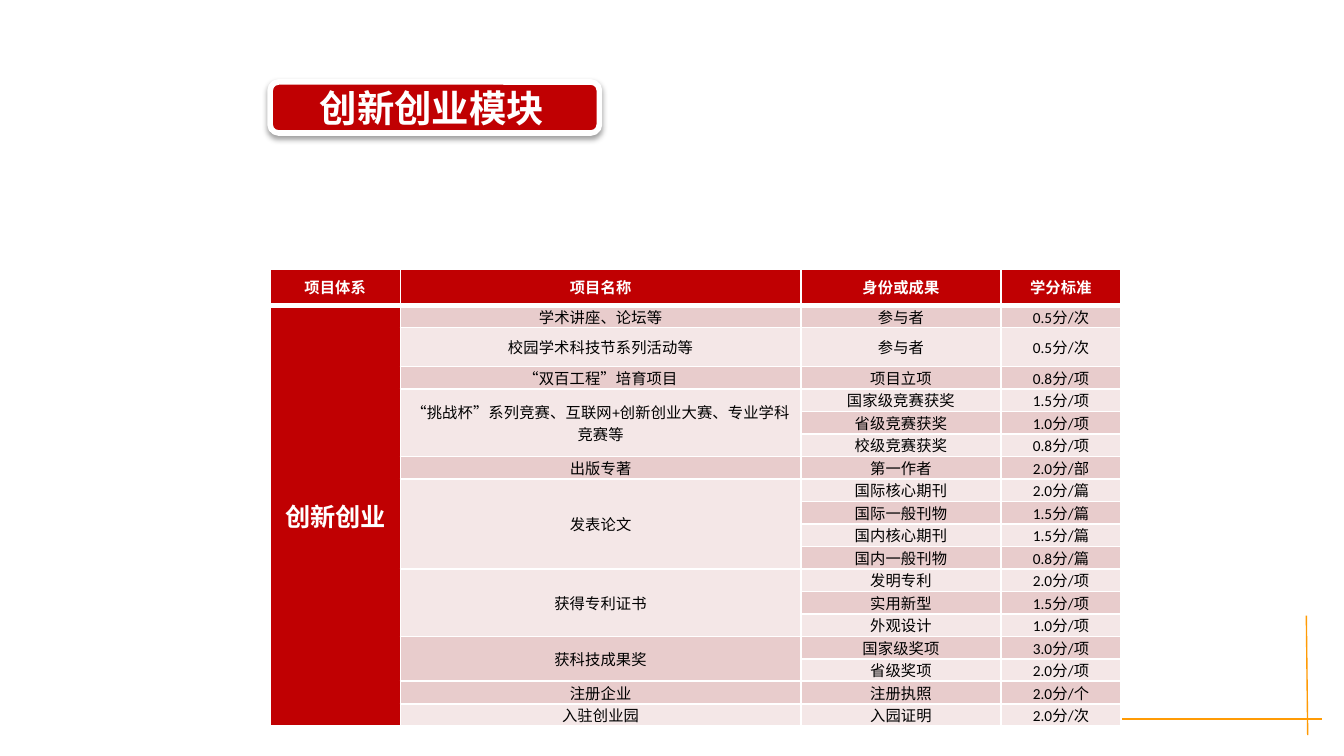
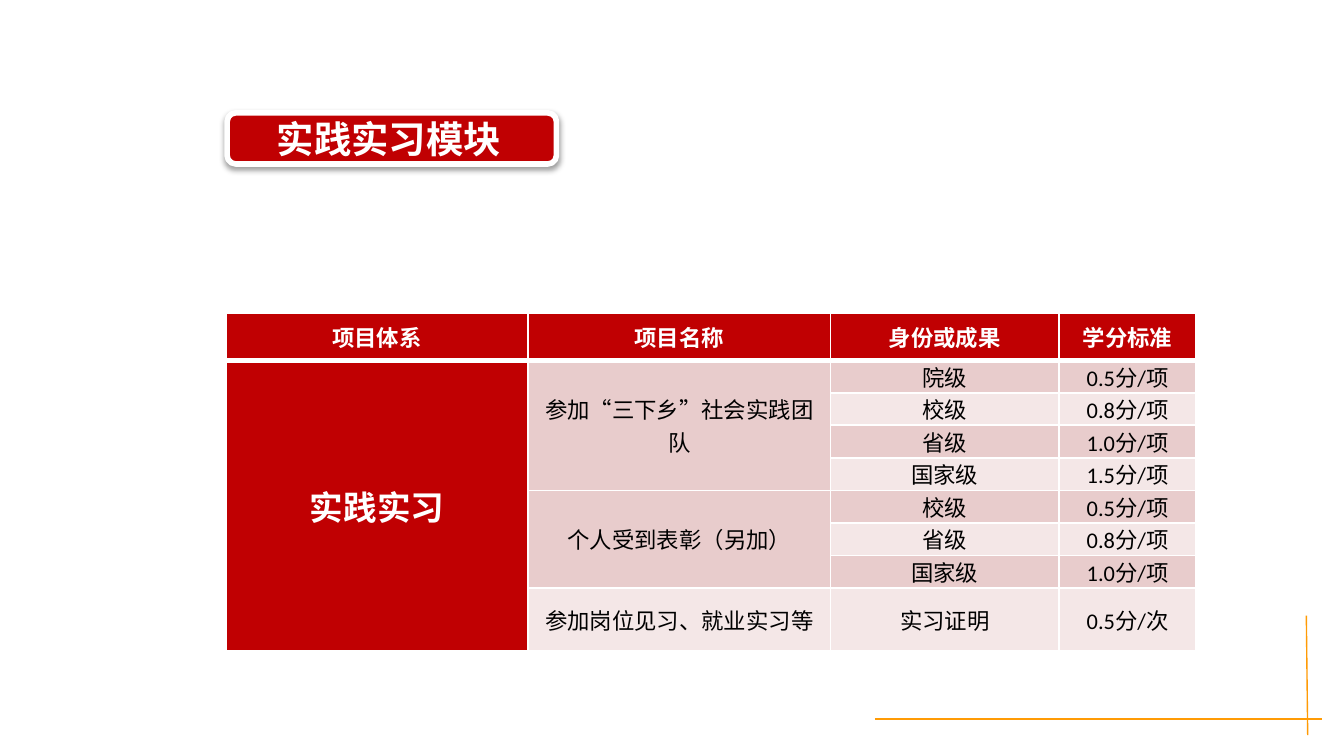
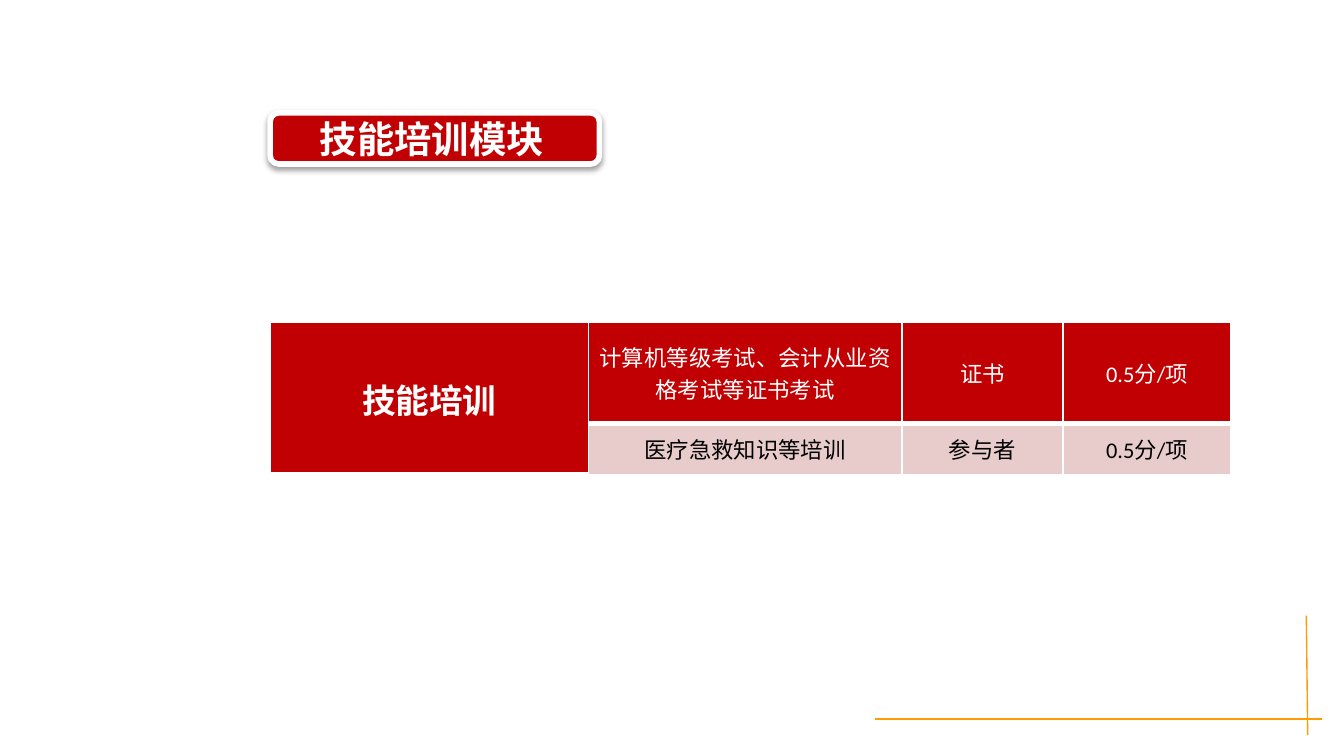
import pptx
import pptx.util
import pptx.dml.color
import pptx.enum.lang
import pptx.enum.shapes
import pptx.enum.text
import pptx.oxml

RED, WHITE, BLACK, ORANGE = "C00002", "FFFFFF", "000000", "FF9B05"
BANDS = ["F4E7E7", "E8CCCC"]
NAMESPACE = 'xmlns:a="http://schemas.openxmlformats.org/drawingml/2006/main"'
HEADINGS = ("项目体系", "项目名称", "身份或成果", "学分标准")

deck = pptx.Presentation()
deck.slide_width = pptx.util.Inches(10)
deck.slide_height = deck.slide_width * 9 // 16
unit = deck.slide_width // 1000

modules = [
    {
        "name": "创新创业", "title": (201, 61), "table": (201, 200),
        "columns": [97, 298, 149, 89], "rows": [27, 15, 29] + [15] * 16,
        "sizes": (8.25, 13.5), "inset": 5,
        "cells": [
            HEADINGS,
            ("创新创业", "学术讲座、论坛等", "参与者", "0.5分/次"),
            (None, "校园学术科技节系列活动等", "参与者", "0.5分/次"),
            (None, "“双百工程”培育项目", "项目立项", "0.8分/项"),
            (None, "“挑战杯”系列竞赛、互联网+创新创业大赛、专业学科竞赛等", "国家级竞赛获奖", "1.5分/项"),
            (None, None, "省级竞赛获奖", "1.0分/项"),
            (None, None, "校级竞赛获奖", "0.8分/项"),
            (None, "出版专著", "第一作者", "2.0分/部"),
            (None, "发表论文", "国际核心期刊", "2.0分/篇"),
            (None, None, "国际一般刊物", "1.5分/篇"),
            (None, None, "国内核心期刊", "1.5分/篇"),
            (None, None, "国内一般刊物", "0.8分/篇"),
            (None, "获得专利证书", "发明专利", "2.0分/项"),
            (None, None, "实用新型", "1.5分/项"),
            (None, None, "外观设计", "1.0分/项"),
            (None, "获科技成果奖", "国家级奖项", "3.0分/项"),
            (None, None, "省级奖项", "2.0分/项"),
            (None, "注册企业", "注册执照", "2.0分/个"),
            (None, "入驻创业园", "入园证明", "2.0分/次"),
        ],
    },
    {
        "name": "实践实习", "title": (169, 84), "table": (168, 233),
        "columns": [225, 225, 170, 102], "rows": [35] + [23] * 7 + [47],
        "sizes": (12, 18), "inset": 7,
        "cells": [
            HEADINGS,
            ("实践实习", "参加“三下乡”社会实践团队", "院级", "0.5分/项"),
            (None, None, "校级", "0.8分/项"),
            (None, None, "省级", "1.0分/项"),
            (None, None, "国家级", "1.5分/项"),
            (None, "个人受到表彰（另加）", "校级", "0.5分/项"),
            (None, None, "省级", "0.8分/项"),
            (None, None, "国家级", "1.0分/项"),
            (None, "参加岗位见习、就业实习等", "实习证明", "0.5分/次"),
        ],
    },
    {
        "name": "技能培训", "title": (201, 84), "table": (201, 240),
        "columns": [237, 233, 120, 125], "rows": [75, 38],
        "sizes": (12, 18), "inset": 8,
        "cells": [
            ("技能培训", "计算机等级考试、会计从业资格考试等证书考试", "证书", "0.5分/项"),
            (None, "医疗急救知识等培训", "参与者", "0.5分/项"),
        ],
    },
]


def colour(code):
    return pptx.dml.color.RGBColor.from_string(code)


def write(frame, text, size, code, bold, align):
    para = frame.paragraphs[0]
    para.alignment = align
    span = para.add_run()
    span.text = text
    span.font.color.rgb = colour(code)
    formats = {"name": "Calibri", "size": pptx.util.Pt(size), "bold": bold,
               "language_id": pptx.enum.lang.MSO_LANGUAGE_ID.SIMPLIFIED_CHINESE}
    for key, value in formats.items():
        setattr(span.font, key, value)


for module in modules:
    page = deck.slides.add_slide(deck.slide_layouts[6])

    for ends in [(651, 535, 984, 535), (972, 458, 973, 547)]:
        rule = page.shapes.add_connector(
            pptx.enum.shapes.MSO_CONNECTOR.STRAIGHT, *[end * unit for end in ends])
        rule.line.color.rgb = colour(ORANGE)
        rule.line.width = pptx.util.Pt(0.75)
        rule._element.spPr.append(pptx.oxml.parse_xml(f"<a:effectLst {NAMESPACE}/>"))

    left, top = module["title"]
    box = page.shapes.add_shape(
        pptx.enum.shapes.MSO_SHAPE.ROUNDED_RECTANGLE,
        left * unit, top * unit, 245 * unit, 38 * unit)
    box.fill.solid()
    box.fill.fore_color.rgb = colour(RED)
    box.line.color.rgb = colour(WHITE)
    box.line.width = pptx.util.Pt(3)
    box.shadow.inherit = False
    box._element.spPr.find(pptx.oxml.ns.qn("a:effectLst")).append(pptx.oxml.parse_xml(
        f'<a:outerShdw {NAMESPACE} blurRad="39370" dist="20320" dir="5400000" rotWithShape="0">'
        f'<a:srgbClr val="{BLACK}"><a:alpha val="38000"/></a:srgbClr></a:outerShdw>'))
    box.text_frame.margin_left = 35 * unit
    box.text_frame.vertical_anchor = pptx.enum.text.MSO_ANCHOR.MIDDLE
    write(box.text_frame, module["name"] + "模块", 20, WHITE, True, pptx.enum.text.PP_ALIGN.LEFT)

    cells, columns, rows = module["cells"], module["columns"], module["rows"]
    left, top = module["table"]
    table = page.shapes.add_table(
        len(rows), len(columns), left * unit, top * unit,
        sum(columns) * unit, sum(rows) * unit).table
    table.horz_banding = False
    for column, width in zip(table.columns, columns):
        column.width = width * unit
    for row, height in zip(table.rows, rows):
        row.height = height * unit

    body_size, name_size = module["sizes"]
    for r, line in enumerate(cells):
        for c, text in enumerate(line):
            cell = table.cell(r, c)
            margins = {"margin_left": module["inset"] * unit, "margin_right": module["inset"] * unit,
                       "margin_top": 0, "margin_bottom": 0,
                       "vertical_anchor": pptx.enum.text.MSO_ANCHOR.MIDDLE}
            for key, value in margins.items():
                setattr(cell, key, value)
            for side in "LRTB":
                width = pptx.util.Pt(3 if r == 0 and side == "B" else 1)
                cell._tc.get_or_add_tcPr().append(pptx.oxml.parse_xml(
                    f'<a:ln{side} {NAMESPACE} w="{width}"><a:solidFill>'
                    f'<a:srgbClr val="{WHITE}"/></a:solidFill></a:ln{side}>'))
            strong = r == 0 or c == 0
            cell.fill.solid()
            cell.fill.fore_color.rgb = colour(RED if strong else BANDS[r % 2])
            if text is None:
                continue
            named = text == module["name"]
            write(cell.text_frame, text, name_size if named else body_size,
                  WHITE if strong else BLACK, named or text in HEADINGS,
                  pptx.enum.text.PP_ALIGN.CENTER)
            last = r
            while last + 1 < len(cells) and cells[last + 1][c] is None:
                last += 1
            if last > r:
                cell.merge(table.cell(last, c))

deck.save("out.pptx")
